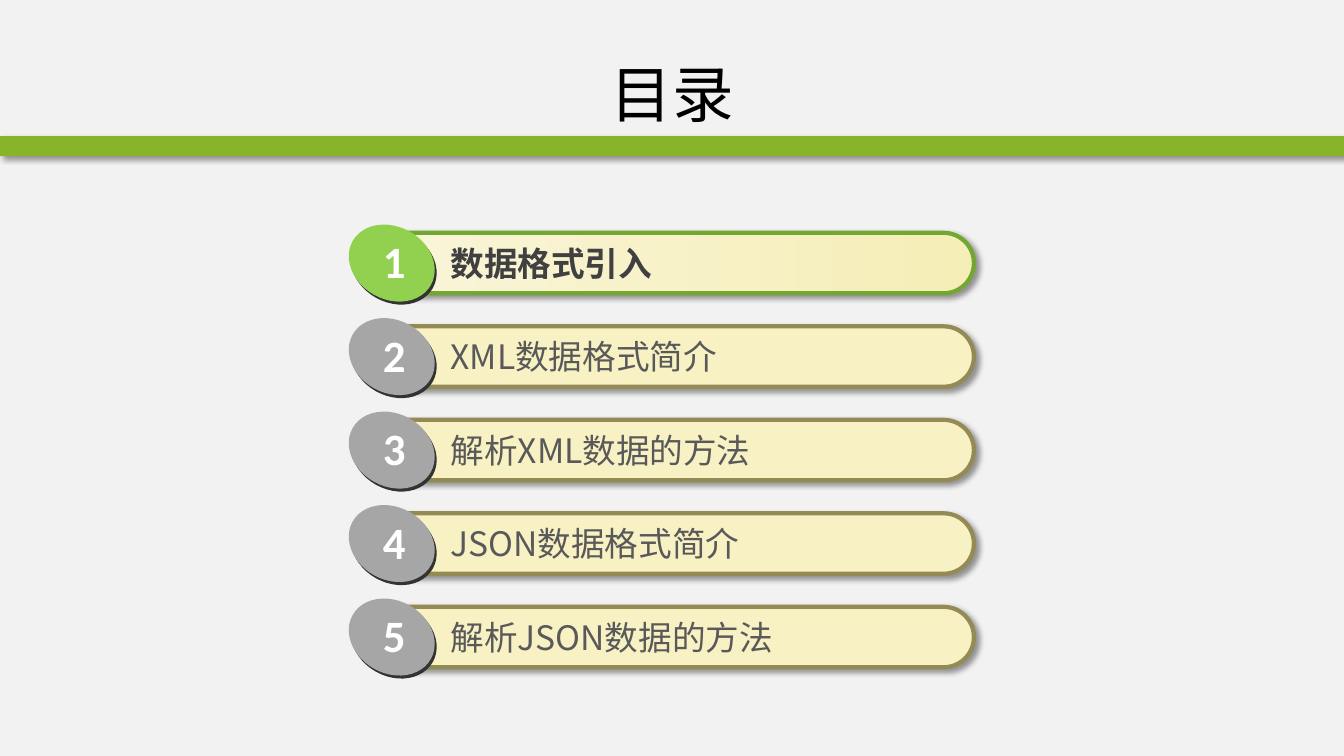
from lxml import etree
from pptx import Presentation
from pptx.dml.color import RGBColor
from pptx.enum import shapes, text
from pptx.oxml import parse_xml
from pptx.oxml.ns import nsdecls, qn
from pptx.util import Inches, Pt

CJK_FONT = "Noto Sans CJK SC"
SHADOW_XML = (
    f'<a:effectLst {nsdecls("a")}>'
    '<a:outerShdw blurRad="50800" dist="38100" dir="2700000" algn="tl" rotWithShape="0">'
    '<a:srgbClr val="000000"><a:alpha val="40000"/></a:srgbClr>'
    "</a:outerShdw></a:effectLst>"
)


def add_shape(container, kind, left, top, width, height, colors, line=None, shadow=False):
    """Add a preset shape; two colors make a left-to-right gradient."""
    shape = container.add_shape(
        kind, Inches(left), Inches(top), Inches(width), Inches(height))
    if len(colors) == 2:
        shape.fill.gradient()
        shape.fill.gradient_angle = 0
        for stop, color in zip(shape.fill.gradient_stops, colors):
            stop.color.rgb = RGBColor.from_string(color)
    else:
        shape.fill.solid()
        shape.fill.fore_color.rgb = RGBColor.from_string(colors[0])
    if line:
        shape.line.color.rgb = RGBColor.from_string(line)
        shape.line.width = Pt(3)
    else:
        shape.line.fill.background()
    if shadow:
        shape._element.spPr.append(parse_xml(SHADOW_XML))
    else:
        shape.shadow.inherit = False
    return shape


def add_text(container, content, left, top, width, height, *, size, color,
             font=CJK_FONT, bold=False, wrap=True, grow=True,
             align=text.PP_ALIGN.LEFT, anchor=text.MSO_ANCHOR.TOP):
    box = container.add_textbox(Inches(left), Inches(top), Inches(width), Inches(height))
    frame = box.text_frame
    frame.word_wrap = wrap
    frame.auto_size = (text.MSO_AUTO_SIZE.SHAPE_TO_FIT_TEXT if grow
                       else text.MSO_AUTO_SIZE.NONE)
    frame.vertical_anchor = anchor
    paragraph = frame.paragraphs[0]
    paragraph.alignment = align
    run = paragraph.add_run()
    run.text = content
    run.font.name = font
    run.font.size = Pt(size)
    run.font.bold = bold
    run.font.color.rgb = RGBColor.from_string(color)
    east_asian = etree.SubElement(run.font._element, qn("a:ea"))
    east_asian.set("typeface", font)


presentation = Presentation()
presentation.slide_width = Inches(13.33)
presentation.slide_height = Inches(7.5)
slide = presentation.slides.add_slide(presentation.slide_layouts[6])
slide.background.fill.solid()
slide.background.fill.fore_color.rgb = RGBColor.from_string("F2F2F2")

add_shape(slide.shapes, shapes.MSO_SHAPE.RECTANGLE, 0, 1.35, 13.33, 0.2,
          ["88B429"], shadow=True)
add_text(slide.shapes, "目录", 0.67, 0.3, 12, 1.25, size=44, color="000000", grow=False,
         align=text.PP_ALIGN.CENTER, anchor=text.MSO_ANCHOR.MIDDLE)

topics = [
    "数据格式引入",
    "XML数据格式简介",
    "解析XML数据的方法",
    "JSON数据格式简介",
    "解析JSON数据的方法",
]
CURRENT_TOPIC = 1
FIRST_TOP, ROW_PITCH = 2.31, 0.9275

for number, topic in enumerate(topics, start=1):
    top = FIRST_TOP + (number - 1) * ROW_PITCH
    current = number == CURRENT_TOPIC
    row = slide.shapes.add_group_shape().shapes

    bar = add_shape(row, shapes.MSO_SHAPE.ROUNDED_RECTANGLE, 3.66, top, 6, 0.6,
                    ["F9F5D9", "F5EEB7"] if current else ["F7F1C4"],
                    line="74A731" if current else "948A54", shadow=True)
    bar.adjustments[0] = 0.5
    add_text(row, topic, 4.37, top + 0.05, 5.09, 0.5, size=24, bold=current,
             color="404040" if current else "595959")

    badge_color = "92D050" if current else "A6A6A6"
    for left, offset, color in [(3.46, -0.03, "333333"), (3.44, -0.06, badge_color)]:
        badge = add_shape(row, shapes.MSO_SHAPE.OVAL, left, top + offset, 0.89, 0.72, [color])
        badge.rotation = 29.3
    add_text(row, str(number), 3.7, top - 0.04, 0.43, 0.64, size=32, color="FFFFFF",
             font="Calibri", bold=True, wrap=False)

presentation.save("out.pptx")
